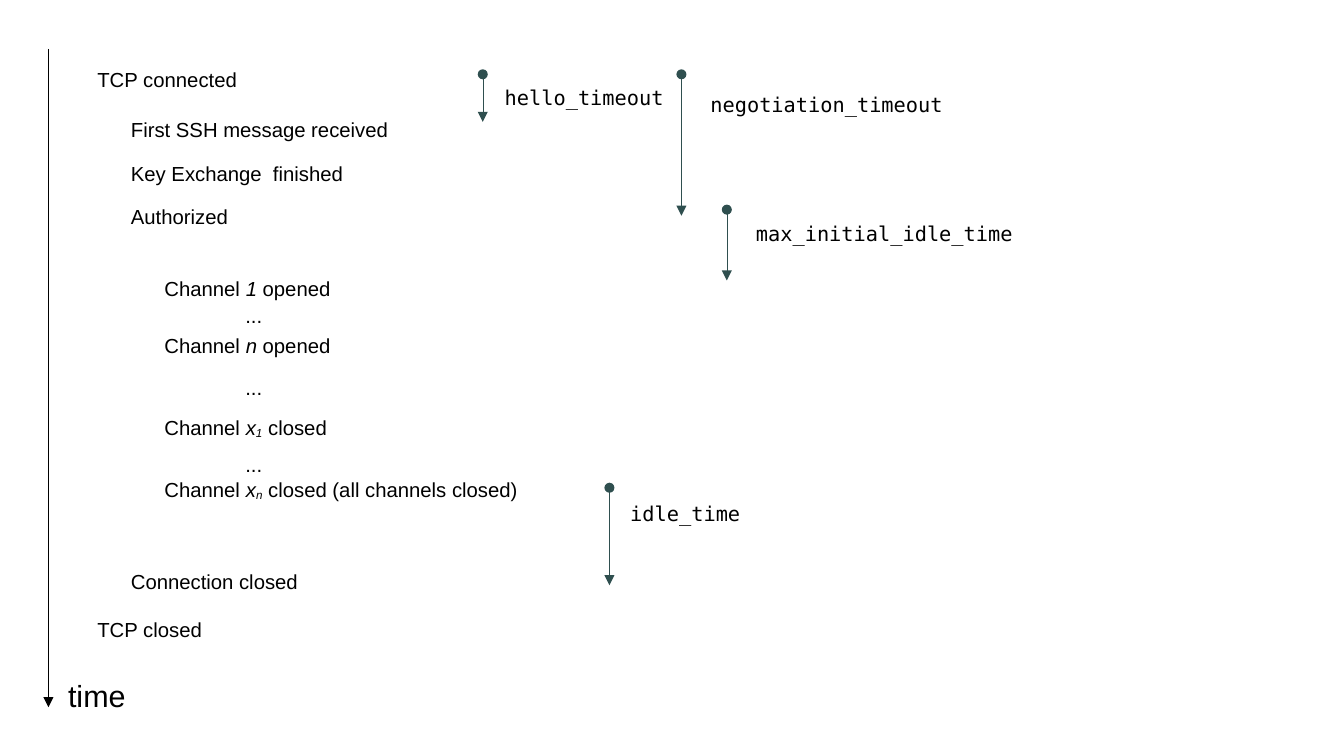
from lxml.etree import SubElement
from pptx import Presentation
from pptx.dml.color import RGBColor
from pptx.enum.shapes import MSO_CONNECTOR
from pptx.enum.text import PP_ALIGN
from pptx.oxml.ns import qn
from pptx.util import Pt

# Content
HUES = {"ink": "000000", "slate": "2F4F4F"}
SANS, MONO = "Arial", "DejaVu Sans Mono"
LEFT = [50.4, 70.2, 90]  # one per indent level

# level, top, width, runs of (text, style)
EVENTS = [
    (0, 36, 104, [("TCP connected", "")]),
    (1, 65.5, 180, [("First SSH message received", "")]),
    (1, 91.4, 153, [("Key Exchange  finished", "")]),
    (1, 116.8, 80, [("Authorized", "")]),
    (2, 159.3, 124, [("Channel ", ""), ("1", "italic"), (" opened", "")]),
    (2, 193.1, 124, [("Channel ", ""), ("n", "italic"), (" opened", "")]),
    (2, 241.9, 124, [("Channel ", ""), ("x", "italic"), ("1", "sub"),
                     (" closed", "")]),
    (2, 278.4, 240, [("Channel ", ""), ("x", "italic"), ("n", "sub"),
                     (" closed (all channels closed)", "")]),
    (1, 332.6, 124, [("Connection closed", "")]),
    (0, 360.7, 86, [("TCP closed", "")]),
]
DOTS = [173.5, 216, 261.4]  # tops

# name, line x, line top, line end, label left, label top, label width
TIMERS = [
    ("hello_timeout", 285, 43.9, 72, 290.9, 46.5, 116),
    ("negotiation_timeout", 402.3, 43.9, 127.4, 412.3, 50.9, 178),
    ("max_initial_idle_time", 429.1, 123.8, 165.6, 439.2, 126.8, 180),
    ("idle_time", 359.8, 288, 345.6, 365, 292.4, 92),
]

deck = Presentation()
deck.slide_width, deck.slide_height = Pt(793.44), Pt(446.4)
slide = deck.slides.add_slide(deck.slide_layouts[6])


def add_text(x, y, w, runs, size=12, face=SANS, h=21):
    box = slide.shapes.add_textbox(Pt(x), Pt(y), Pt(w), Pt(h))
    box.text_frame.word_wrap = True
    para = box.text_frame.paragraphs[0]
    for text, style in runs:
        run = para.add_run()
        run.text = text
        font = run.font
        font.name, font.size = face, Pt(size)
        font.color.rgb = RGBColor.from_string(HUES["ink"])
        if style in ("italic", "sub"):
            font.italic = True
        shift = {"sub": "-8000", "super": "33000"}.get(style)
        if shift:
            run._r.get_or_add_rPr().set("baseline", shift)
    return para


def add_arrow(x, top, end, hue, head=None):
    line = slide.shapes.add_connector(
        MSO_CONNECTOR.STRAIGHT, Pt(x), Pt(top), Pt(x), Pt(end))
    line.line.color.rgb = RGBColor.from_string(HUES[hue])
    props = line._element.spPr
    edge = props.find(qn("a:ln"))
    edge.set("w", "0")  # hairline
    if head:
        SubElement(edge, qn("a:headEnd"), type=head)
    SubElement(edge, qn("a:tailEnd"), type="triangle")
    SubElement(props, qn("a:effectLst"))


# Time axis
add_arrow(28.6, 28.8, 417.6, "ink")
add_text(33.1, 396.4, 56, [("time", "")], size=18, h=27)

# Events
for level, top, width, runs in EVENTS:
    add_text(LEFT[level], top, width, runs)
for top in DOTS:
    para = add_text(135.4, top, 28.8, [("...", "super")], size=20.7, h=24.5)
    para.alignment = PP_ALIGN.CENTER

# Timers
for name, x, top, end, left, y, width in TIMERS:
    add_arrow(x, top, end, "slate", "oval")
    add_text(left, y, width, [(name, "")], face=MONO)

deck.save("out.pptx")
